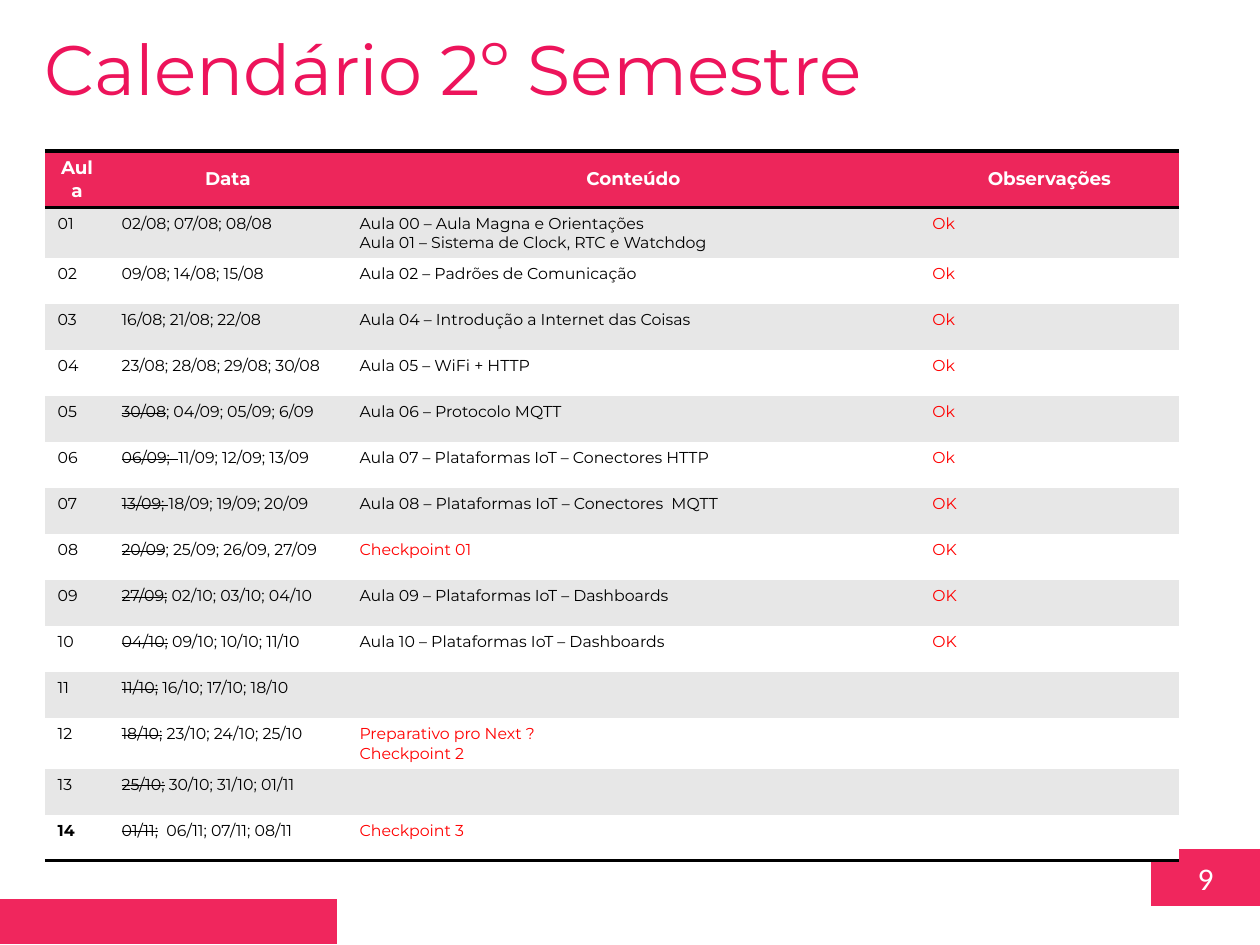
"""Build the second-semester class calendar slide."""
from lxml import etree
from pptx import Presentation
from pptx.dml.color import RGBColor
from pptx.enum.shapes import MSO_SHAPE
from pptx.enum.text import MSO_ANCHOR, PP_ALIGN
from pptx.oxml.ns import qn
from pptx.util import Emu, Pt

RECT = MSO_SHAPE.RECTANGLE
TOP, MIDDLE = MSO_ANCHOR.TOP, MSO_ANCHOR.MIDDLE
LEFT, CENTER = PP_ALIGN.LEFT, PP_ALIGN.CENTER
PX = 914400 / 126
NO_STYLE = "{2D5ABB26-0587-4C30-8999-92F81FD0307C}"
PINK, RED, BLACK, WHITE, GRAY = "F0265D", "FF0000", "000000", "FFFFFF", "E7E7E7"


def paint(target, color):
    if hasattr(target, "solid"):
        target.solid()
        target = target.fore_color
    target.rgb = RGBColor.from_string(color)


def add_text(p, text, color, align=LEFT, strike=False, **fmt):
    p.alignment = align
    r = p.add_run()
    r.text = text
    for name, value in fmt.items():
        setattr(r.font, name, value)
    paint(r.font.color, color)
    if strike:
        r.font._element.set("strike", "sngStrike")


prs = Presentation()
prs.slide_width, prs.slide_height = Emu(int(1260 * PX)), Emu(int(945 * PX))
s = prs.slides.add_slide(prs.slide_layouts[6])

for box, text in [((1151, 849, 109, 57), "9"), ((0, 899, 337, 45), "")]:
    sp = s.shapes.add_shape(RECT, *[Emu(int(v * PX)) for v in box])
    sp.shadow.inherit = False
    paint(sp.fill, PINK)
    sp.line.fill.background()
    if text:
        sp.text_frame.vertical_anchor = MIDDLE
        add_text(sp.text_frame.paragraphs[0], text, WHITE, CENTER,
                 name="Calibri", size=Pt(18))

sp = s.shapes.add_textbox(*[Emu(int(v * PX)) for v in (32, 19, 872, 97)])
tf = sp.text_frame
tf.word_wrap = True
add_text(tf.paragraphs[0], "Calendário 2º Semestre", "ED145B",
         name="Montserrat", size=Pt(40))

# struck dates | valid dates, content, remark
rows = [
    ("Aula", "|Data", "Conteúdo", "Observações"),
    ("01", "|02/08; 07/08; 08/08",
     "Aula 00 – Aula Magna e Orientações\nAula 01 – Sistema de Clock, RTC e Watchdog", "Ok"),
    ("02", "|09/08; 14/08; 15/08", "Aula 02 – Padrões de Comunicação", "Ok"),
    ("03", "|16/08; 21/08; 22/08", "Aula 04 – Introdução a Internet das Coisas", "Ok"),
    ("04", "|23/08; 28/08; 29/08; 30/08", "Aula 05 – WiFi + HTTP", "Ok"),
    ("05", "30/08|; 04/09; 05/09; 6/09", "Aula 06 – Protocolo MQTT", "Ok"),
    ("06", "06/09;  |11/09; 12/09; 13/09", "Aula 07 – Plataformas IoT – Conectores HTTP", "Ok"),
    ("07", "13/09; |18/09; 19/09; 20/09", "Aula 08 – Plataformas IoT – Conectores  MQTT", "OK"),
    ("08", "20/09|; 25/09; 26/09, 27/09", "Checkpoint 01", "OK"),
    ("09", "27/09;| 02/10; 03/10; 04/10", "Aula 09 – Plataformas IoT – Dashboards", "OK"),
    ("10", "04/10;| 09/10; 10/10; 11/10", "Aula 10 – Plataformas IoT – Dashboards", "OK"),
    ("11", "11/10;| 16/10; 17/10; 18/10", "", ""),
    ("12", "18/10;| 23/10; 24/10; 25/10", "Preparativo pro Next ?\nCheckpoint 2", ""),
    ("13", "25/10;| 30/10; 31/10; 01/11", "", ""),
    ("14", "01/11;|  06/11; 07/11; 08/11", "Checkpoint 3", ""),
]
widths = [64, 238, 573, 259]
heights = [56] + [50 if "\n" in row[2] else 46 for row in rows[1:]]
frame = s.shapes.add_table(len(rows), len(widths), *[
    Emu(int(v * PX)) for v in (45, 151, sum(widths), sum(heights))])
table = frame.table
table.first_row = table.horz_banding = False
table._tbl.tblPr.find(qn("a:tableStyleId")).text = NO_STYLE
for col, width in zip(table.columns, widths):
    col.width = Emu(int(width * PX))

for i, row in enumerate(rows):
    table.rows[i].height = Emu(int(heights[i] * PX))
    header, last = i == 0, i == len(rows) - 1
    edges = ["a:lnT", "a:lnB"] if header else ["a:lnB"] if last else []
    for j, value in enumerate(row):
        cell = table.cell(i, j)
        for edge in edges:
            ln = etree.SubElement(cell._tc.get_or_add_tcPr(), qn(edge), w=str(Pt(2)))
            fill = etree.SubElement(ln, qn("a:solidFill"))
            etree.SubElement(fill, qn("a:srgbClr"), val=BLACK)
        paint(cell.fill, "ED265B" if header else GRAY if i % 2 else WHITE)
        cell.vertical_anchor = MIDDLE if header else TOP
        red = j == 3 or (j == 2 and not value.startswith("Aula"))
        color = WHITE if header else RED if red else BLACK
        fmt = {"name": "Montserrat", "size": Pt(10.5 if header else 9),
               "bold": header or (last and j == 0)}
        tf = cell.text_frame
        for k, line in enumerate(value.split("\n")):
            p = tf.add_paragraph() if k else tf.paragraphs[0]
            struck, _, plain = line.rpartition("|")
            for text, strike in [(struck, True), (plain, False)]:
                if text:
                    add_text(p, text, color, CENTER if header else LEFT, strike, **fmt)
            if not line:
                etree.SubElement(p._p, qn("a:endParaRPr"), sz="900")

prs.save("out.pptx")
